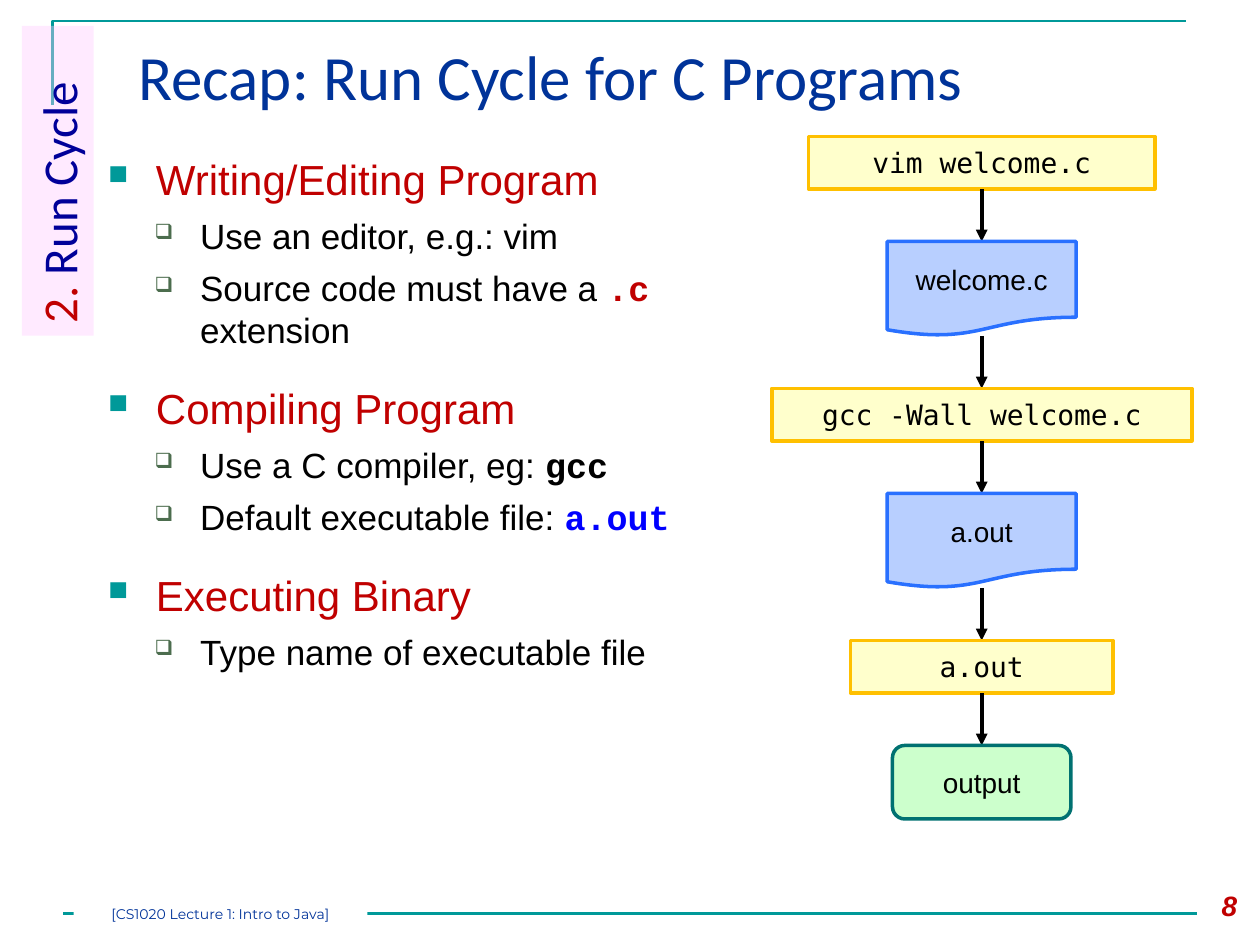
import pptx
import pptx.util
import pptx.dml.color
import pptx.enum.shapes
import pptx.enum.text
import pptx.oxml
import pptx.oxml.ns
import lxml.etree

UNIT = pptx.util.Inches(1) / 12  # the grid: 120 columns by 90 rows
KIND = pptx.enum.shapes.MSO_SHAPE
ALIGN = pptx.enum.text.PP_ALIGN
ANCHOR = pptx.enum.text.MSO_ANCHOR
RGB = pptx.dml.color.RGBColor.from_string
Pt = pptx.util.Pt

THEME = {
    "teal": "009999", "navy": "003399", "blue": "000099", "red": "C00000",
    "black": "000000", "link": "0000FF", "pink": "FFCCFF", "white": "FFFFFF",
    "moss": "4C6D4E",
    "cmd": ("FFFFCC", "FFC000"), "file": ("B8CFFF", "2970FF"),
    "end": ("CCFFCC", "007171"),
    "title": 36, "tag": 28, "head": 24, "item": 20, "flow": 16, "foot": 8,
}


def grid(*nums):
    return [round(n * UNIT) for n in nums]


def write(para, text, size, color, face="Arial", **form):
    run = para.add_run()
    run.text = text
    run.font.color.rgb = RGB(THEME[color])
    form.update(size=Pt(THEME[size]), name=face)
    for key, val in form.items():
        setattr(run.font, key, val)


deck = pptx.Presentation()
deck.slide_width, deck.slide_height = grid(120, 90)
slide = deck.slides.add_slide(deck.slide_layouts[6])
shapes = slide.shapes

# Frame lines
pen = shapes.build_freeform(5, 10, scale=UNIT)
pen.add_line_segments([(5, 2), (113, 2)], close=False)
frame = pen.convert_to_shape()
frame.shadow.inherit = False
frame.fill.background()
rule = shapes.add_connector(1, *grid(6, 87, 114, 87))
for line in (frame.line, rule.line):
    line.color.rgb = RGB(THEME["teal"])
    line.width = Pt(1.5)

# Title and page number
title = shapes.add_textbox(*grid(12, 3, 102, 10.3)).text_frame
title.word_wrap = True
write(title.paragraphs[0], "Recap: Run Cycle for C Programs", "title", "navy", "Calibri")

page = shapes.add_textbox(*grid(111, 84, 8, 4.8)).text_frame
page.word_wrap = True
page.paragraphs[0].alignment = ALIGN.RIGHT
write(page.paragraphs[0], "8", "flow", "red", bold=True, italic=True)

# Flow chart: kind, style, label, face, width, height
MONO = "DejaVu Sans Mono"
STEPS = [
    (KIND.RECTANGLE, "cmd", "vim welcome.c", MONO, 33, 5),
    (KIND.FLOWCHART_DOCUMENT, "file", "welcome.c", "Arial", 18, 9),
    (KIND.RECTANGLE, "cmd", "gcc -Wall welcome.c", MONO, 40, 5),
    (KIND.FLOWCHART_DOCUMENT, "file", "a.out", "Arial", 18, 9),
    (KIND.RECTANGLE, "cmd", "a.out", MONO, 25, 5),
    (KIND.FLOWCHART_ALTERNATE_PROCESS, "end", "output", "Arial", 17, 7),
]
MID, GAP, top = 93.5, 5, 13
for num, (kind, style, label, face, wide, high) in enumerate(STEPS):
    if num:
        arrow = shapes.add_connector(1, *grid(MID, top - GAP, MID, top))
        arrow.line.color.rgb = RGB(THEME["black"])
        arrow.line.width = Pt(2.25)
        tail = lxml.etree.SubElement(arrow.line._get_or_add_ln(), pptx.oxml.ns.qn("a:tailEnd"))
        tail.set("type", "triangle")
    step = shapes.add_shape(kind, *grid(MID - wide / 2, top, wide, high))
    step.shadow.inherit = False
    fill, edge = THEME[style]
    step.fill.solid()
    step.fill.fore_color.rgb = RGB(fill)
    step.line.color.rgb = RGB(edge)
    step.line.width = Pt(2)
    frame = step.text_frame
    frame.vertical_anchor = ANCHOR.MIDDLE
    frame.margin_top = frame.margin_bottom = 0
    frame.paragraphs[0].alignment = ALIGN.CENTER
    write(frame.paragraphs[0], label, "flow", "black", face)
    top += high + GAP

# Bullet list: each head with its items, each item a list of runs
CODE = {"face": "Courier New", "bold": True}
TOPICS = [
    ("Writing/Editing Program", [
        [("Use an editor, e.g.: vim", "black", {})],
        [("Source code must have a ", "black", {}), (".c ", "red", CODE),
         ("extension", "black", {})],
    ]),
    ("Compiling Program", [
        [("Use a C compiler, eg: ", "black", {}), ("gcc", "black", CODE)],
        [("Default executable file: ", "black", {}), ("a.out", "link", CODE)],
    ]),
    ("Executing Binary", [
        [("Type name of executable file", "black", {})],
    ]),
]
LEVELS = [  # size, left, hang, mark, mark colour, mark share
    ("head", 0.38, 0.38, "■", "teal", 65),
    ("item", 0.73, 0.36, "❑", "moss", 60),
]
rows = []
for head, items in TOPICS:
    rows.append((0, 18, [(head, "red", {})]))
    rows += [(1, 6, item) for item in items]

body = shapes.add_textbox(*grid(9.12, 14, 66, 72)).text_frame
body.word_wrap = True
for num, (level, space, runs) in enumerate(rows):
    para = body.add_paragraph() if num else body.paragraphs[0]
    size, left, hang, mark, tint, share = LEVELS[level]
    props = para._p.get_or_add_pPr()
    props.set("marL", str(pptx.util.Inches(left)))
    props.set("indent", str(-pptx.util.Inches(hang)))
    for xml in (
        f'<a:buClr %s><a:srgbClr val="{THEME[tint]}"/></a:buClr>',
        f'<a:buSzPct %s val="{share * 1000}"/>',
        f'<a:buChar %s char="{mark}"/>',
    ):
        props.append(pptx.oxml.parse_xml(xml % pptx.oxml.ns.nsdecls("a")))
    para.level = level
    if num:
        para.space_before = Pt(space)
    for text, color, form in runs:
        write(para, text, size, color, **form)

# Side tag and footer
tag = shapes.add_shape(KIND.RECTANGLE, *grid(-9.24, 13.8, 29.5, 6.84))
tag.rotation = 270
foot = shapes.add_shape(KIND.RECTANGLE, *grid(7, 86, 28, 2))
for box, tint, side in ((tag, "pink", ALIGN.LEFT), (foot, "white", ALIGN.CENTER)):
    box.shadow.inherit = False
    box.fill.solid()
    box.fill.fore_color.rgb = RGB(THEME[tint])
    box.line.fill.background()
    box.text_frame.word_wrap = True
    box.text_frame.vertical_anchor = ANCHOR.MIDDLE
    box.text_frame.paragraphs[0].alignment = side
color = tag._element.spPr.find(".//" + pptx.oxml.ns.qn("a:srgbClr"))
lxml.etree.SubElement(color, pptx.oxml.ns.qn("a:alpha")).set("val", "40000")
write(tag.text_frame.paragraphs[0], "2.", "tag", "red", "Calibri")
write(tag.text_frame.paragraphs[0], " Run Cycle", "tag", "blue", "Calibri")
for side in ("left", "right", "top", "bottom"):
    setattr(foot.text_frame, "margin_" + side, 0)
write(foot.text_frame.paragraphs[0], "[CS1020 Lecture 1: Intro to Java]", "foot", "navy",
      "Montserrat")

for shape in shapes:
    if shape.shape_type == pptx.enum.shapes.MSO_SHAPE_TYPE.LINE:
        lxml.etree.SubElement(shape._element.spPr, pptx.oxml.ns.qn("a:effectLst"))

deck.save("out.pptx")
